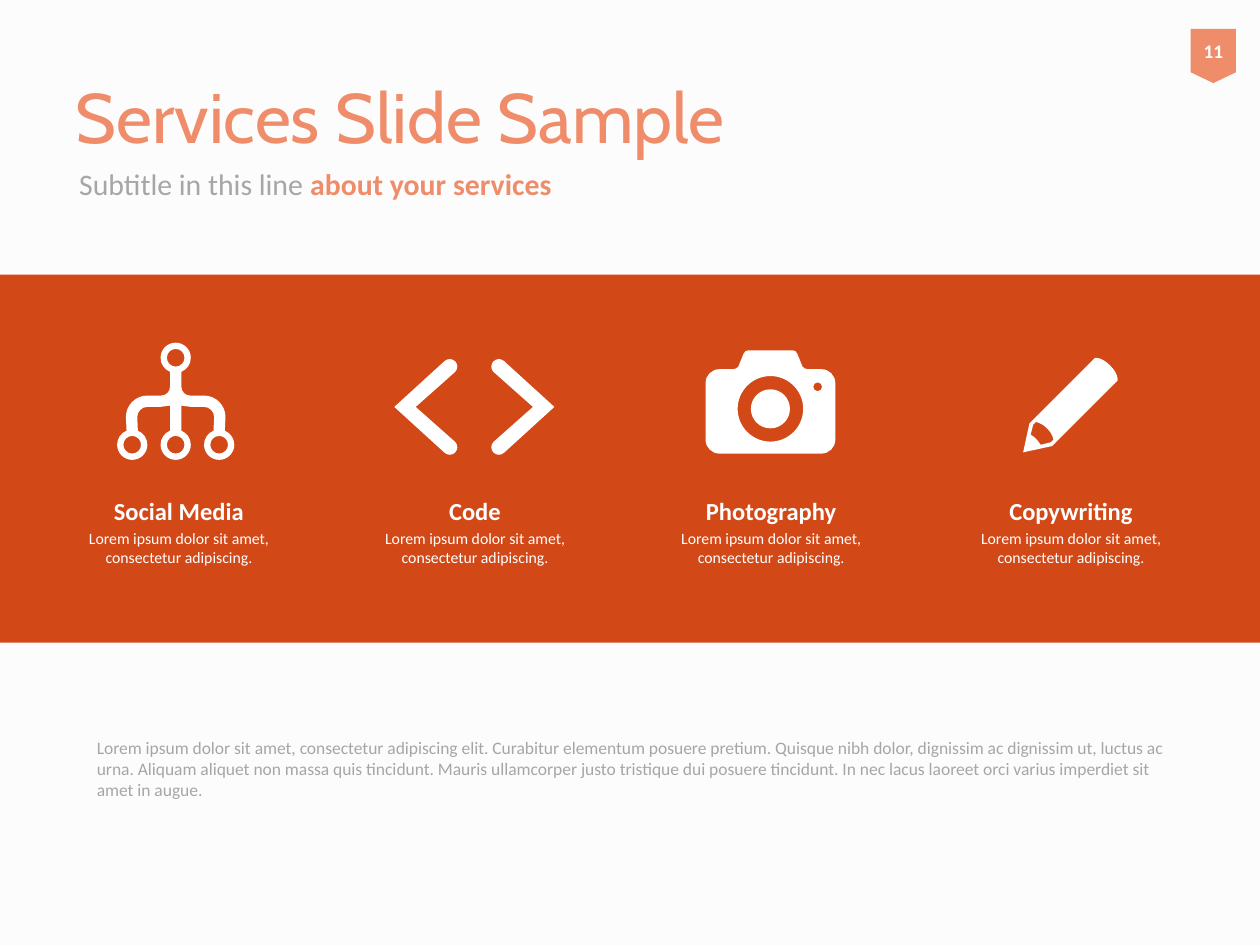
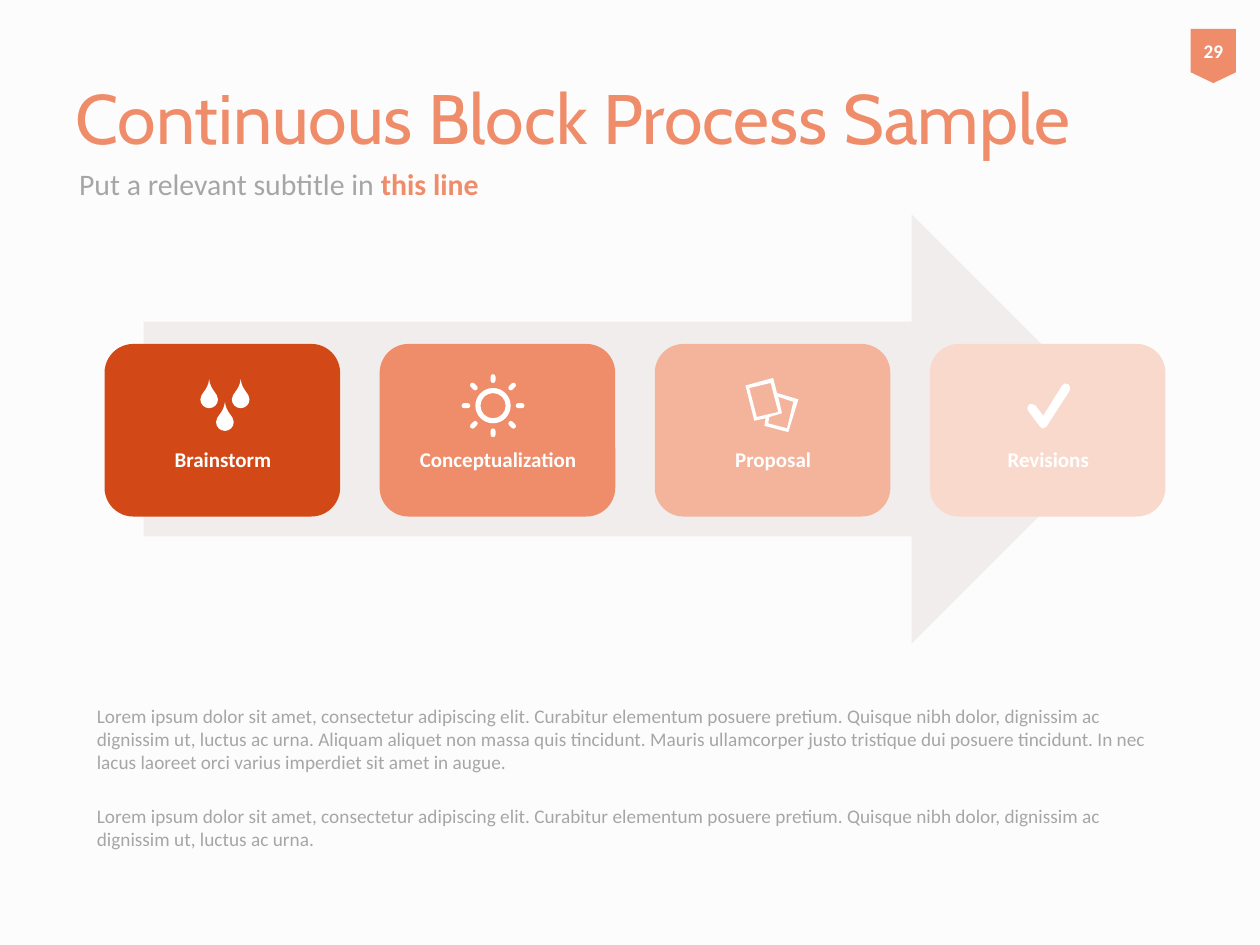
import math

import pptx
import pptx.dml.color
import pptx.enum.shapes
import pptx.enum.text
import pptx.oxml.ns
import pptx.util
from lxml import etree

Inches = pptx.util.Inches
Pt = pptx.util.Pt
RGBColor = pptx.dml.color.RGBColor
MSO_SHAPE = pptx.enum.shapes.MSO_SHAPE
PP_ALIGN = pptx.enum.text.PP_ALIGN
MSO_ANCHOR = pptx.enum.text.MSO_ANCHOR
qn = pptx.oxml.ns.qn

PAPER = RGBColor(0xFC, 0xFC, 0xFC)
WHITE = RGBColor(0xFF, 0xFF, 0xFF)
GREY = RGBColor(0xA6, 0xA6, 0xA6)
RUST = RGBColor(0xD3, 0x48, 0x17)
CORAL = RGBColor(0xEF, 0x8C, 0x6A)
SALMON = RGBColor(0xF4, 0xB3, 0x9B)
BLUSH = RGBColor(0xFA, 0xD9, 0xCD)
ARROW_TINT = RGBColor(0xDE, 0xCD, 0xCD)

TITLE_FONT = "Cabin"
BODY_FONT = "Calibri"

LOREM_SHORT = "Lorem ipsum dolor sit amet, consectetur adipiscing."
LOREM_START = (
    "Lorem ipsum dolor sit amet, consectetur adipiscing elit. Curabitur elementum "
    "posuere pretium. Quisque nibh dolor, dignissim ac dignissim ut, luctus ac urna."
)
LOREM_LONG = LOREM_START + (
    " Aliquam aliquet non massa quis tincidunt. Mauris ullamcorper justo tristique dui "
    "posuere tincidunt. In nec lacus laoreet orci varius imperdiet sit amet in augue."
)


def arc(x, y, radius, start, end):
    low, high = sorted((start, end))
    stops = [low] + [a for a in range(-360, 720, 90) if low < a < high] + [high]
    if start > end:
        stops.reverse()

    def on_circle(angle, handle=0):
        c, s = math.cos(math.radians(angle)), math.sin(math.radians(angle))
        return x + radius * (c - handle * s), y + radius * (s + handle * c)

    nodes = [on_circle(start)]
    for a, b in zip(stops, stops[1:]):
        handle = 4 / 3 * math.tan(math.radians(b - a) / 4)
        nodes.append(on_circle(a, handle) + on_circle(b, -handle) + on_circle(b))
    return nodes


def circle(x, y, radius):
    return arc(x, y, radius, 0, 360)


def mirrored(outline, width):
    flipped = [tuple(v if i % 2 else width - v for i, v in enumerate(node)) for node in outline]
    nodes = [flipped[-1][-2:]]
    for node, previous in zip(flipped[:0:-1], flipped[-2::-1]):
        handles = node[2:4] + node[:2] if len(node) == 6 else ()
        nodes.append(handles + previous[-2:])
    return nodes


def network_icon():
    half = (
        arc(0.465, 0.12, 0.12, -90, 68)
        + arc(0.58, 0.35, 0.07, 180, 90)
        + arc(0.69, 0.59, 0.17, -90, 0)
        + arc(0.81, 0.81, 0.12, -68, 248)
        + arc(0.69, 0.59, 0.08, 0, -90)
        + [(0.59, 0.51), (0.51, 0.5)]
        + arc(0.465, 0.81, 0.12, -68, 90)
    )
    nodes = [(0.465, 0.12), (0.12, 0.81), (0.465, 0.81), (0.81, 0.81)]
    return [half + mirrored(half, 0.93)] + [circle(x, y, 0.07) for x, y in nodes]


def brackets_icon():
    chevron = (
        [(0, 0.39)]
        + arc(0.44, 0.07, 0.06, -135, 45)
        + [(0.17, 0.39)]
        + arc(0.44, 0.71, 0.06, -45, 135)
    )
    return [chevron, mirrored(chevron, 1.27)]


def camera_icon():
    half = (
        arc(0.69, 0.04, 0.04, -90, -20)
        + [(0.77, 0.13), (0.78, 0.14, 0.79, 0.15, 0.81, 0.15)]
        + arc(0.92, 0.26, 0.11, -90, 0)
        + arc(0.92, 0.71, 0.11, 0, 90)
    )
    lens = [circle(0.515, 0.465, radius) for radius in (0.26, 0.155)]
    return [half + mirrored(half, 1.03), *lens, circle(0.89, 0.29, 0.035)]


def pencil_icon():
    barrel = [(0.69, 0.07), (0.62, 0, 0.57, 0.01, 0.57, 0.01), (0.05, 0.53), (0, 0.76),
              (0.23, 0.71), (0.75, 0.19), (0.75, 0.19, 0.76, 0.14, 0.69, 0.07)]
    tip = [(0.22, 0.68), (0.14, 0.7), (0.13, 0.69, 0.12, 0.67, 0.11, 0.66),
           (0.09, 0.64, 0.08, 0.63, 0.06, 0.62), (0.08, 0.54), (0.1, 0.52),
           (0.1, 0.52, 0.14, 0.52, 0.19, 0.57), (0.24, 0.62, 0.24, 0.66, 0.24, 0.66)]
    return [barrel, tip]


def drops_icon():
    return [
        [(x, y), (x + 0.01, y + 0.09, x + 0.07, y + 0.11, x + 0.07, y + 0.16)]
        + arc(x, y + 0.16, 0.07, 0, 180)[1:]
        + [(x - 0.07, y + 0.11, x - 0.01, y + 0.09, x, y)]
        for x, y in [(0.07, 0), (0.32, 0), (0.195, 0.18)]
    ]


def sun_icon():
    rays = []
    for angle in range(0, 360, 45):
        dx, dy = math.cos(math.radians(angle)), math.sin(math.radians(angle))
        rays.append(
            arc(0.25 + 0.23 * dx, 0.25 + 0.23 * dy, 0.02, angle - 90, angle + 90)
            + arc(0.25 + 0.2 * dx, 0.25 + 0.2 * dy, 0.02, angle + 90, angle + 270)
        )
    return [circle(0.25, 0.25, 0.14), circle(0.25, 0.25, 0.1)] + rays


def sheets_icon():
    outline = [(0, 0.06), (0.22, 0), (0.25, 0.12), (0.42, 0.17),
               (0.34, 0.43), (0.15, 0.38), (0.16, 0.32), (0.07, 0.34)]
    front = [(0.03, 0.08), (0.2, 0.04), (0.26, 0.27), (0.09, 0.31)]
    back = [(0.26, 0.15), (0.38, 0.19), (0.33, 0.4),
            (0.18, 0.36), (0.19, 0.31), (0.29, 0.28)]
    return [outline, front, back]


def check_icon():
    return [[(0.13, 0.36), (0.12, 0.36, 0.11, 0.35, 0.1, 0.34), (0.01, 0.22),
             (0, 0.21, 0, 0.19, 0.02, 0.17), (0.03, 0.16, 0.06, 0.17, 0.07, 0.18),
             (0.13, 0.26), (0.28, 0.02), (0.29, 0, 0.31, 0, 0.33, 0.01),
             (0.34, 0.02, 0.35, 0.04, 0.34, 0.06), (0.16, 0.34),
             (0.15, 0.35, 0.14, 0.36, 0.13, 0.36)]]


def paint(shape, color):
    shape.shadow.inherit = False
    shape.fill.solid()
    shape.fill.fore_color.rgb = color
    shape.line.fill.background()
    return shape


def add_block(slide, kind, box, color):
    return paint(slide.shapes.add_shape(kind, *map(Inches, box)), color)


def add_icon(slide, left, top, contours):
    outlines = [[tuple(map(Inches, node)) for node in contour] for contour in contours]
    ends = [[node[-2:] for node in outline] for outline in outlines]
    builder = slide.shapes.build_freeform(*ends[0][0])
    builder.add_line_segments(ends[0][1:])
    for points in ends[1:]:
        builder.move_to(*points[0])
        builder.add_line_segments(points[1:])
    icon = paint(builder.convert_to_shape(Inches(left), Inches(top)), WHITE)

    corner = [min(point[axis] for points in ends for point in points) for axis in (0, 1)]
    segments = list(icon._element.iter(qn("a:lnTo")))
    nodes = [node for outline in outlines for node in outline[1:]]
    for segment, node in zip(segments, nodes):
        if len(node) == 6:
            segment.tag = qn("a:cubicBezTo")
            for index in (0, 1):
                x, y = node[2 * index:2 * index + 2]
                handle = etree.SubElement(segment, qn("a:pt"),
                                          x=str(x - corner[0]), y=str(y - corner[1]))
                segment.insert(index, handle)


def style(paragraph, size, color, bold=False, align=PP_ALIGN.LEFT, font=BODY_FONT):
    paragraph.alignment = align
    paragraph.font.name = font
    paragraph.font.size = Pt(size)
    paragraph.font.bold = bold
    paragraph.font.color.rgb = color


def add_text_frame(slide, box):
    frame = slide.shapes.add_textbox(*map(Inches, box)).text_frame
    frame.word_wrap = True
    return frame


def add_header(slide, title_box, title, subtitle, emphasis):
    heading = slide.shapes.title
    heading.left, heading.top, heading.width, heading.height = map(Inches, title_box)
    frame = heading.text_frame
    frame.text = title
    frame.auto_size = pptx.enum.text.MSO_AUTO_SIZE.NONE
    frame.vertical_anchor = MSO_ANCHOR.MIDDLE
    style(frame.paragraphs[0], 40, CORAL, font=TITLE_FONT)

    frame = add_text_frame(slide, (0.53, 1.19, title_box[2], 0.53))
    frame.vertical_anchor = MSO_ANCHOR.MIDDLE
    line = frame.paragraphs[0]
    line.add_run().text = subtitle
    stressed = line.add_run()
    stressed.text = emphasis
    style(line, 17, GREY)
    stressed.font.bold = True
    stressed.font.color.rgb = CORAL


def add_page_tag(slide, number):
    tag = add_block(slide, MSO_SHAPE.FLOWCHART_OFFPAGE_CONNECTOR, (9.45, 0.23, 0.36, 0.43), CORAL)
    frame = tag.text_frame
    frame.margin_left = frame.margin_right = 0
    frame.vertical_anchor = MSO_ANCHOR.MIDDLE
    frame.text = number
    style(frame.paragraphs[0], 11, WHITE, True, PP_ALIGN.CENTER)


def add_description(slide, box, size, texts):
    frame = add_text_frame(slide, box)
    frame.text = "\n".join(texts)
    for paragraph in frame.paragraphs:
        style(paragraph, size, GREY)
    for paragraph in frame.paragraphs[1:]:
        paragraph.space_before = Pt(17.5)


def add_services_band(slide, box, services):
    left, top, width, height = box
    add_block(slide, MSO_SHAPE.RECTANGLE, box, RUST)
    for name, column, icon, icon_x, icon_y in services:
        frame = add_text_frame(slide, (left + column, top + 1.71, 2, 0.8))
        frame.text = f"{name}\n{LOREM_SHORT}"
        heading, detail = frame.paragraphs
        style(heading, 14, WHITE, True, PP_ALIGN.CENTER)
        style(detail, 9, WHITE, align=PP_ALIGN.CENTER)
        detail.space_before = Pt(1.8)
        add_icon(slide, left + column + icon_x, top + icon_y, icon)


def add_process(slide, box, steps):
    left, top, width, height = box
    arrow = add_block(slide, MSO_SHAPE.RIGHT_ARROW, (left + 0.31, top, 7.8, height), ARROW_TINT)
    tint = arrow._element.spPr.find(".//" + qn("a:srgbClr"))
    etree.SubElement(tint, qn("a:alpha"), val="30000")

    card_width, card_height = 1.87, 1.37
    pitch = (width - card_width) / (len(steps) - 1)
    card_top = top + 1.03
    for index, (name, color, icon, icon_x, icon_y) in enumerate(steps):
        card_left = left + pitch * index
        add_block(slide, MSO_SHAPE.ROUNDED_RECTANGLE,
                  (card_left, card_top, card_width, card_height), color)
        frame = add_text_frame(slide, (card_left + 0.07, card_top + 0.06, 1.74, 1.23))
        frame.margin_left = frame.margin_right = frame.margin_bottom = Inches(0.05)
        frame.margin_top = Inches(0.52)
        frame.vertical_anchor = MSO_ANCHOR.MIDDLE
        frame.text = name
        style(frame.paragraphs[0], 12, WHITE, True, PP_ALIGN.CENTER)
        add_icon(slide, card_left + icon_x, card_top + icon_y, icon)


def build_services_slide(slide):
    add_header(slide, (0.5, 0.53, 9, 0.78), "Services Slide Sample",
               "Subtitle in this line ", "about your services")
    add_services_band(slide, (0, 2.18, 10, 2.92), [
        ("Social Media", 0.42, network_icon(), 0.51, 0.54),
        ("Code", 2.77, brackets_icon(), 0.36, 0.66),
        ("Photography", 5.12, camera_icon(), 0.48, 0.6),
        ("Copywriting", 7.5, pencil_icon(), 0.62, 0.65),
    ])
    add_description(slide, (0.67, 5.8, 8.74, 0.89), 10, [LOREM_LONG])
    add_page_tag(slide, "11")


def build_process_slide(slide):
    add_header(slide, (0.5, 0.3, 8.83, 1.25), "Continuous Block Process Sample",
               "Put a relevant subtitle in ", "this line")
    add_process(slide, (0.83, 1.7, 8.42, 3.41), [
        ("Brainstorm", RUST, drops_icon(), 0.76, 0.28),
        ("Conceptualization", CORAL, sun_icon(), 0.65, 0.24),
        ("Proposal", SALMON, sheets_icon(), 0.72, 0.27),
        ("Revisions", BLUSH, check_icon(), 0.77, 0.31),
    ])
    add_description(slide, (0.67, 5.54, 8.74, 0.89), 11, [LOREM_LONG, LOREM_START])
    add_page_tag(slide, "29")


def main():
    deck = pptx.Presentation()
    deck.slide_width, deck.slide_height = Inches(10), Inches(7.5)
    backdrop = deck.slide_master.background.fill
    backdrop.solid()
    backdrop.fore_color.rgb = PAPER
    for build in (build_services_slide, build_process_slide):
        build(deck.slides.add_slide(deck.slide_layouts[5]))
    deck.save("out.pptx")


if __name__ == "__main__":
    main()
